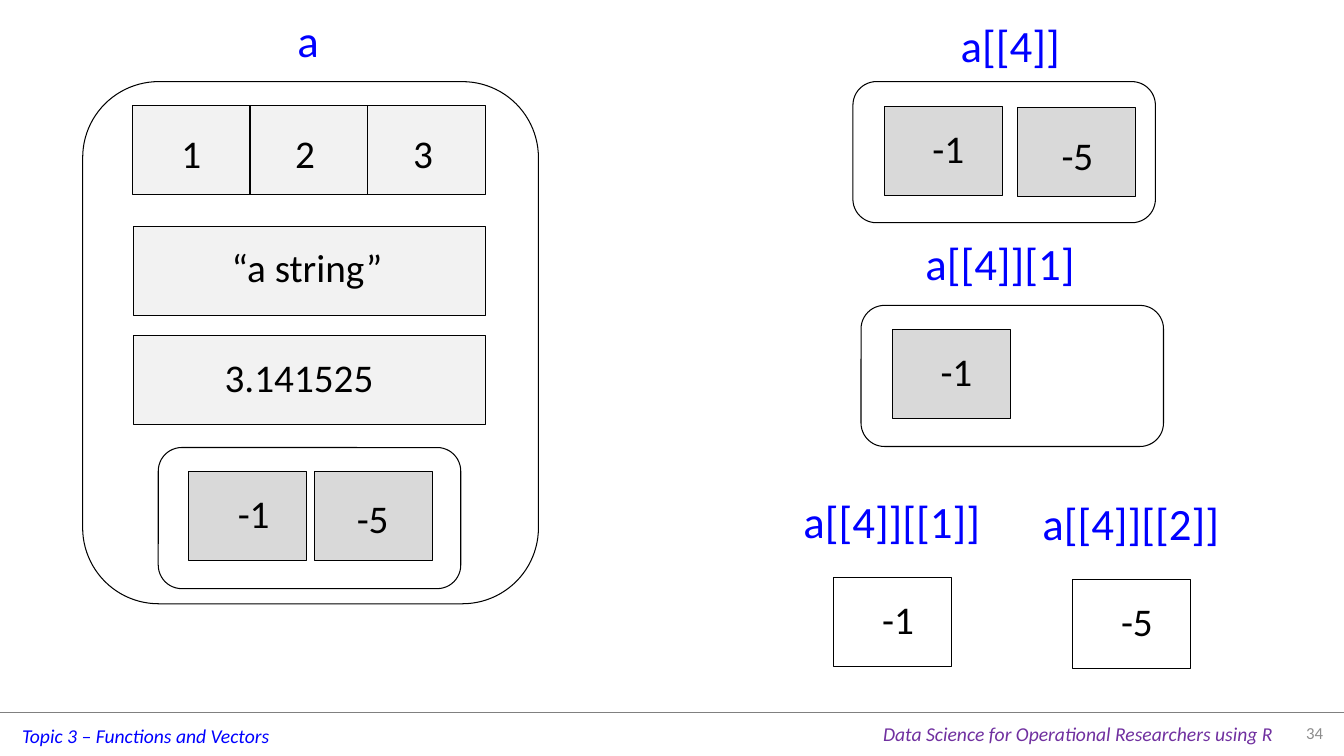
from lxml.etree import SubElement
from pptx import Presentation
from pptx.dml.color import RGBColor
from pptx.enum.shapes import MSO_CONNECTOR, MSO_SHAPE
from pptx.enum.text import MSO_ANCHOR, PP_ALIGN
from pptx.oxml.ns import qn
from pptx.util import Inches, Pt

BLACK = RGBColor(0x00, 0x00, 0x00)
BLUE = RGBColor(0x00, 0x00, 0xFF)
PURPLE = RGBColor(0x70, 0x30, 0xA0)
RULE_GREY = RGBColor(0x80, 0x80, 0x80)
NUMBER_GREY = RGBColor(0x8C, 0x8C, 0x8C)
LIGHT = RGBColor(0xF2, 0xF2, 0xF2)
MEDIUM = RGBColor(0xD9, 0xD9, 0xD9)

CELL_WIDTH, CELL_HEIGHT = 1.17, 0.88

presentation = Presentation()
presentation.slide_width = Inches(13.33)
presentation.slide_height = Inches(7.5)
slide = presentation.slides.add_slide(presentation.slide_layouts[6])


def add_text(text, left, top, width, height, size, color, italic=False):
    box = slide.shapes.add_textbox(Inches(left), Inches(top), Inches(width), Inches(height))
    box.text_frame.word_wrap = False
    paragraph = box.text_frame.paragraphs[0]
    paragraph.text = text
    paragraph.font.name = "Calibri"
    paragraph.font.size = Pt(size)
    paragraph.font.italic = italic
    paragraph.font.color.rgb = color
    return box


def add_outline(kind, left, top, width, height, fill=None):
    shape = slide.shapes.add_shape(kind, Inches(left), Inches(top), Inches(width), Inches(height))
    shape.shadow.inherit = False
    shape.line.color.rgb = BLACK
    shape.line.width = Pt(0.75)
    if fill is None:
        shape.fill.background()
    else:
        shape.fill.solid()
        shape.fill.fore_color.rgb = fill


# Footer
rule = slide.shapes.add_connector(
    MSO_CONNECTOR.STRAIGHT, Inches(0), Inches(7.07), Inches(13.33), Inches(7.07))
rule.line.color.rgb = RULE_GREY
rule.line.width = Pt(0.25)
SubElement(rule.element.spPr, qn("a:effectLst"))
add_text("Topic 3 – Functions and Vectors", 0.12, 7.13, 2.68, 0.34, 14, BLUE, italic=True)
add_text("Data Science for Operational Researchers using R",
         8.66, 7.11, 4.11, 0.34, 14, PURPLE, italic=True)
number = add_text("34", 12.67, 7.07, 0.55, 0.39, 12, NUMBER_GREY)
number.text_frame.word_wrap = True
number.text_frame.vertical_anchor = MSO_ANCHOR.MIDDLE
number.text_frame.paragraphs[0].alignment = PP_ALIGN.RIGHT

# Expressions: text, left, top, width
for text, left, top, width in [
    ("a", 2.85, 0.08, 0.42),
    ("a[[4]]", 9.43, 0.13, 1.19),
    ("a[[4]][1]", 9.08, 2.29, 1.7),
    ("a[[4]][[1]]", 7.87, 4.85, 1.97),
    ("a[[4]][[2]]", 10.24, 4.87, 1.97),
]:
    add_text(text, left, top, width, 0.64, 32, BLUE)

# Lists: the whole of a, then the inner lists
add_outline(MSO_SHAPE.ROUNDED_RECTANGLE, 0.82, 0.81, 4.52, 5.18)
for left, top in [(1.57, 4.44), (8.46, 0.81), (8.54, 3.03)]:
    add_outline(MSO_SHAPE.ROUNDED_RECTANGLE, left, top, 3, 1.4)

# Vector of three elements
for index, text_left in enumerate([1.7, 2.83, 4]):
    add_outline(MSO_SHAPE.RECTANGLE, 1.31 + index * CELL_WIDTH, 1.05,
                CELL_WIDTH, CELL_HEIGHT, LIGHT)
    add_text(str(index + 1), text_left, 1.23, 0.4, 0.57, 28, BLACK)

# Wide elements: text, top, text left, text top, text width
for text, top, text_left, text_top, text_width in [
    ("“a string”", 2.25, 2.2, 2.36, 1.7),
    ("3.141525", 3.33, 2.13, 3.46, 1.69),
]:
    add_outline(MSO_SHAPE.RECTANGLE, 1.32, top, 3.5, CELL_HEIGHT, LIGHT)
    add_text(text, text_left, text_top, text_width, 0.57, 28, BLACK)

# Elements of the inner list: text, left, top, text offsets, fill
for text, left, top, text_right, text_down, fill in [
    ("-1", 1.87, 4.68, 0.39, 0.13, MEDIUM),
    ("-5", 3.12, 4.68, 0.32, 0.17, MEDIUM),
    ("-1", 8.77, 1.06, 0.38, 0.12, MEDIUM),
    ("-5", 10.09, 1.07, 0.34, 0.18, MEDIUM),
    ("-1", 8.85, 3.27, 0.38, 0.13, MEDIUM),
    ("-1", 8.27, 5.73, 0.38, 0.13, None),
    ("-5", 10.64, 5.75, 0.38, 0.13, None),
]:
    add_outline(MSO_SHAPE.RECTANGLE, left, top, CELL_WIDTH, CELL_HEIGHT, fill)
    add_text(text, left + text_right, top + text_down, 0.52, 0.57, 28, BLACK)

presentation.save("out.pptx")
